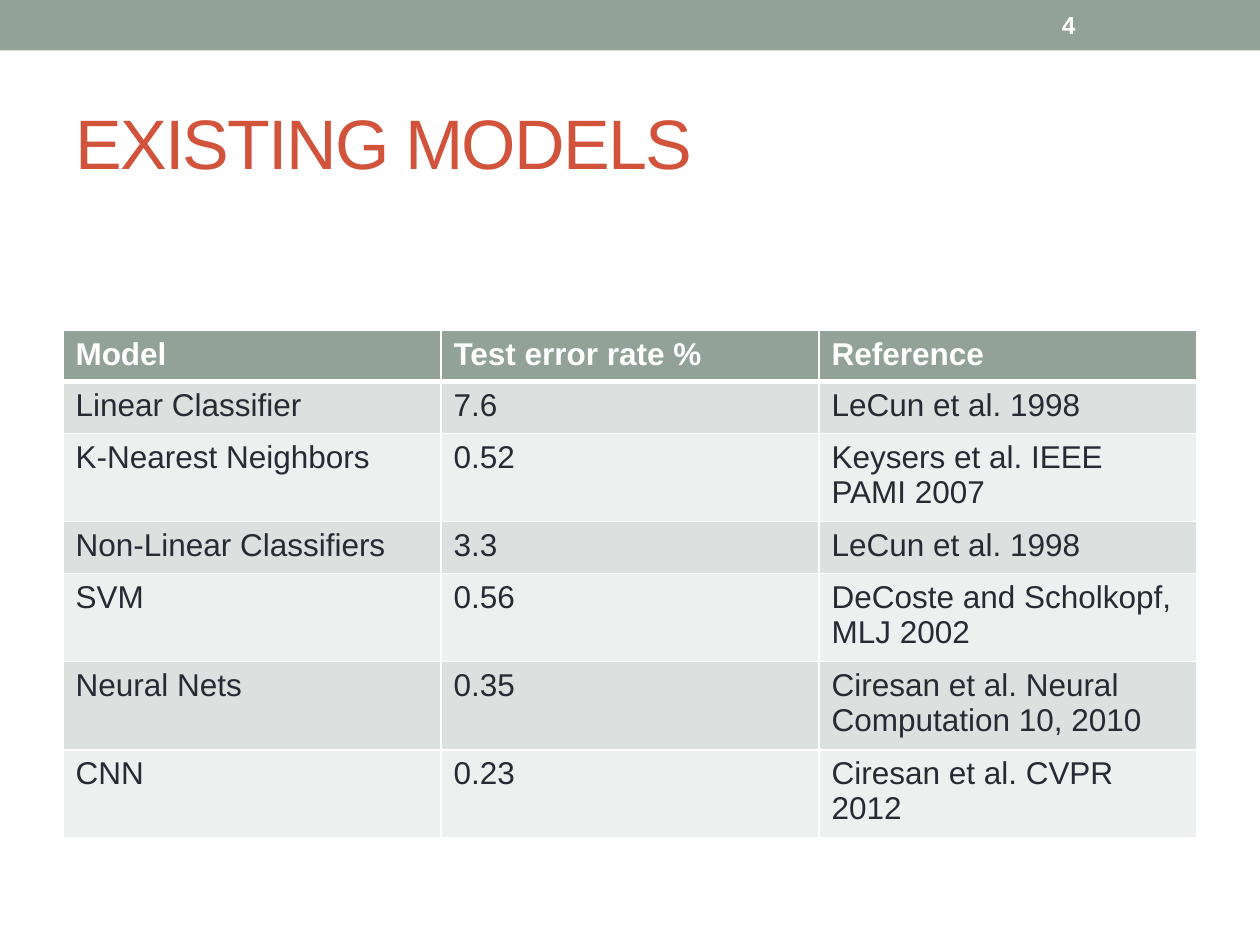
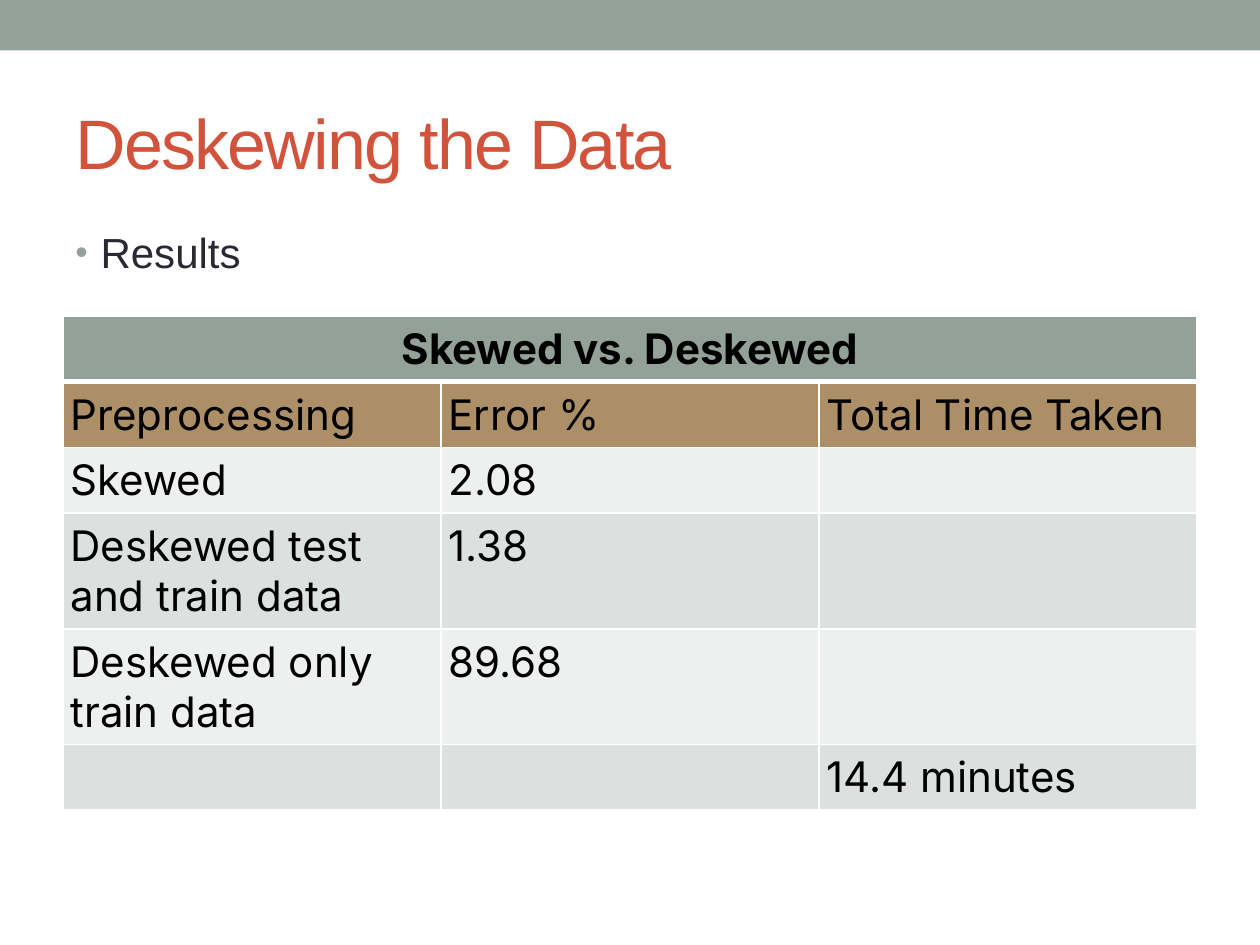
from lxml import etree
from pptx import Presentation
from pptx.dml.color import RGBColor
from pptx.enum.shapes import MSO_SHAPE
from pptx.enum.text import MSO_ANCHOR, PP_ALIGN
from pptx.oxml.ns import qn
from pptx.util import Inches, Pt

RECTANGLE = MSO_SHAPE.RECTANGLE
TOP, MIDDLE = MSO_ANCHOR.TOP, MSO_ANCHOR.MIDDLE
LEFT, CENTER = PP_ALIGN.LEFT, PP_ALIGN.CENTER

# Shared look
WIDTH, HEIGHT = 10, 7.5
MARGIN = 0.5
CONTENT = WIDTH - 2 * MARGIN
BAND = 0.4
ROW = 0.41
SAGE, RUST, TAN = "93A299", "D2533C", "AD8F67"
INK, BLACK, WHITE = "292934", "000000", "FFFFFF"
STRIPES = ("DCE0DE", "EEF0EF")
SANS, TABLE_SANS = "Arial", "Inter"


def color(hex_code):
    return RGBColor.from_string(hex_code)


def child(parent, tag, **attributes):
    return etree.SubElement(parent, qn(tag), attributes)


def write(frame, text, size=18, font=SANS, ink=INK, bold=False,
          align=LEFT, tracking=0):
    """Put one formatted paragraph in a text frame and return it."""
    para = frame.paragraphs[0]
    para.alignment = align
    span = para.add_run()
    span.text = text
    span.font.size, span.font.name, span.font.bold = Pt(size), font, bold
    span.font.color.rgb = color(ink)
    if tracking:
        span.font._element.set("spc", str(tracking * 100))
    return para


def add_text(page, box, text, anchor=TOP, **style):
    frame = page.shapes.add_textbox(*map(Inches, box)).text_frame
    frame.word_wrap = True
    frame.vertical_anchor = anchor
    return write(frame, text, **style)


def add_bullet(page, box, text):
    para = add_text(page, box, text, size=24)
    para.space_before = Pt(4.8)
    props = para._p.get_or_add_pPr()
    props.set("marL", str(Inches(0.2)))
    props.set("indent", str(-Inches(0.2)))
    child(child(props, "a:buClr"), "a:srgbClr", val=SAGE)
    child(props, "a:buSzPct", val="85000")
    child(props, "a:buFont", typeface=SANS)
    child(props, "a:buChar", char="•")


def add_borders(cell, is_header):
    """White rules, with a heavier one below the header."""
    rules = {"L": 1, "R": 1, "T": 1, "B": 3 if is_header else 1}
    if not is_header:
        del rules["T"]  # the row above draws this edge
    props = cell._tc.get_or_add_tcPr()
    for side, points in rules.items():
        line = child(props, "a:ln" + side, w=str(Pt(points)))
        child(child(line, "a:solidFill"), "a:srgbClr", val=WHITE)


def add_grid(page, box, rows, fills, header, body, inset=None):
    """Table with equal columns; short rows are merged across."""
    columns = max(map(len, rows))
    table = page.shapes.add_table(len(rows), columns, *map(Inches, box)).table
    table.horz_banding = False
    for r, texts in enumerate(rows):
        table.rows[r].height = Inches(ROW)
        for c in range(columns):
            cell = table.cell(r, c)
            add_borders(cell, r == 0)
            cell.fill.solid()
            cell.fill.fore_color.rgb = color(fills[r])
            if inset is not None:
                cell.margin_left = cell.margin_right = Inches(inset)
                cell.margin_top = cell.margin_bottom = Inches(inset)
            if c < len(texts) and texts[c]:
                write(cell.text_frame, texts[c], **(body if r else header))
        if len(texts) == 1:
            table.cell(r, 0).merge(table.cell(r, columns - 1))


def add_page(deck, title, number=None):
    """Blank page with the top band, title and optional page number."""
    page = deck.slides.add_slide(deck.slide_layouts[6])
    band = page.shapes.add_shape(RECTANGLE, 0, 0, Inches(WIDTH), Inches(BAND))
    band.shadow.inherit = False
    band.fill.solid()
    band.fill.fore_color.rgb = color(SAGE)
    band.line.fill.background()
    add_text(page, (MARGIN, 0.58, CONTENT, 1.08), title, anchor=MIDDLE,
             size=40, ink=RUST, tracking=-1)
    if number:
        add_text(page, (8.33, 0.02, 1.17, 0.36), number, anchor=MIDDLE,
                 size=14, ink=WHITE, bold=True)
    return page


def models_page(deck):
    page = add_page(deck, "EXISTING MODELS", number="4")
    rows = [
        ("Model", "Test error rate %", "Reference"),
        ("Linear Classifier", "7.6", "LeCun et al. 1998"),
        ("K-Nearest Neighbors", "0.52", "Keysers et al. IEEE PAMI 2007"),
        ("Non-Linear Classifiers", "3.3", "LeCun et al. 1998"),
        ("SVM", "0.56", "DeCoste and Scholkopf, MLJ 2002"),
        ("Neural Nets", "0.35", "Ciresan et al. Neural Computation 10, 2010"),
        ("CNN", "0.23", "Ciresan et al. CVPR 2012"),
    ]
    add_grid(page, (MARGIN, 2.62, CONTENT, ROW * len(rows)), rows,
             fills=[SAGE, *STRIPES * 3],
             header={"ink": WHITE, "bold": True}, body={})


def deskewing_page(deck):
    page = add_page(deck, "Deskewing the Data")
    add_bullet(page, (MARGIN, 1.75, CONTENT, 5.33), "Results")
    rows = [
        ("Skewed vs. Deskewed",),
        ("Preprocessing", "Error %", "Total Time Taken"),
        ("Skewed", "2.08", ""),
        ("Deskewed test and train data", "1.38", ""),
        ("Deskewed only train data", "89.68", ""),
        ("", "", "14.4 minutes"),
    ]
    body = {"size": 24, "font": TABLE_SANS, "ink": BLACK}
    add_grid(page, (MARGIN, 2.51, CONTENT, ROW * len(rows)), rows,
             fills=[SAGE, TAN, *STRIPES[::-1] * 2],
             header={**body, "bold": True, "align": CENTER}, body=body,
             inset=0.06)


deck = Presentation()
deck.slide_width, deck.slide_height = Inches(WIDTH), Inches(HEIGHT)
models_page(deck)
deskewing_page(deck)
deck.save("out.pptx")
